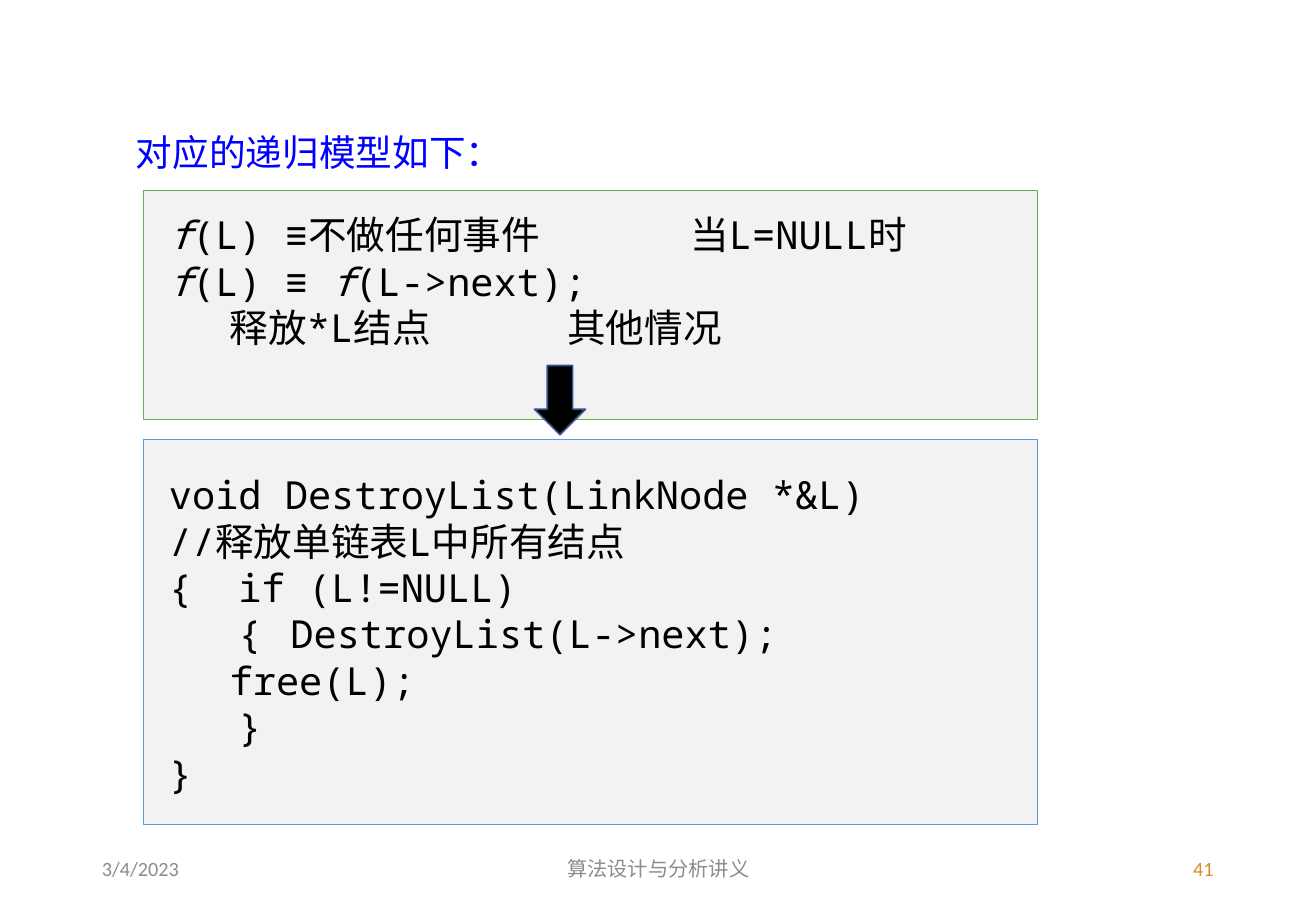
"""Build the slide that turns a recursive model into list-destroying code."""
import pptx
import pptx.util
import pptx.dml.color
import pptx.enum.shapes
import pptx.enum.text
import pptx.oxml.ns
from lxml import etree

Pt = pptx.util.Pt
RGB = pptx.dml.color.RGBColor.from_string
SHAPE = pptx.enum.shapes.MSO_SHAPE
ANCHOR = pptx.enum.text.MSO_ANCHOR
ALIGN = pptx.enum.text.PP_ALIGN

THEME = {
    "code_font": "Noto Sans Mono", "text_font": "Calibri",
    "code_size": 22.9, "title_size": 21.7, "footer_size": 12,
    "ink": "000000", "title": "0000FF", "panel": "F2F2F2",
    "model_line": "70AD47", "code_line": "5B9BD5", "arrow_line": "325491",
    "footer": "8C8C8C", "number": "D48F29",
}


def style(p, font, size, color):
    p.font.name = THEME[font]
    p.font.size = Pt(THEME[size])
    p.font.color.rgb = RGB(THEME[color])


def add_filled(kind, box, fill, line, width):
    sp = slide.shapes.add_shape(kind, *map(Pt, box))
    sp.shadow.inherit = False
    sp.fill.solid()
    sp.fill.fore_color.rgb = RGB(THEME[fill])
    sp.line.color.rgb = RGB(THEME[line])
    sp.line.width = Pt(width)
    return sp


prs = pptx.Presentation()
prs.slide_width, prs.slide_height = Pt(780), Pt(540)
slide = prs.slides.add_slide(prs.slide_layouts[5])

title = slide.shapes.title
title.left, title.top, title.width, title.height = map(Pt, (73.4, 73.4, 299, 34))
tf = title.text_frame
tf.text = "对应的递归模型如下："
tf.auto_size = pptx.enum.text.MSO_AUTO_SIZE.NONE
tf.vertical_anchor = ANCHOR.TOP
tf.paragraphs[0].alignment = ALIGN.LEFT
style(tf.paragraphs[0], "text_font", "title_size", "title")

model = [
    ([("f", True), ("(L) ≡不做任何事件\t当L=NULL时", False)], [309]),
    ([("f", True), ("(L) ≡ ", False), ("f", True), ("(L->next);", False)], []),
    ([("\t释放*L结点\t其他情况", False)], [36, 236]),
]
code = [([(line, False)], [36, 72]) for line in (
    "void DestroyList(LinkNode *&L)",
    "//释放单链表L中所有结点",
    "{  if (L!=NULL)",
    "   {\tDestroyList(L->next);",
    "\tfree(L);",
    "   }",
    "}",
)]
panels = [
    (113, 135.4, "model_line", 12.2, model),
    (260.6, 228.2, "code_line", 18.7, code),
]
for top, height, line, inset, rows in panels:
    sp = add_filled(SHAPE.RECTANGLE, (85, top, 530, height), "panel", line, 0.5)
    tf = sp.text_frame
    tf.word_wrap = True
    tf.vertical_anchor = ANCHOR.TOP
    tf.margin_left, tf.margin_top = Pt(15.1), Pt(inset)
    for i, (runs, stops) in enumerate(rows):
        p = tf.add_paragraph() if i else tf.paragraphs[0]
        p.alignment = ALIGN.LEFT
        if stops:
            tabs = etree.SubElement(p._p.get_or_add_pPr(), pptx.oxml.ns.qn("a:tabLst"))
            for stop in stops:
                etree.SubElement(tabs, pptx.oxml.ns.qn("a:tab"), pos=str(Pt(stop)), algn="l")
        style(p, "code_font", "code_size", "ink")
        for text, italic in runs:
            r = p.add_run()
            r.text = text
            if italic:
                r.font.italic = True

add_filled(SHAPE.DOWN_ARROW, (316.8, 216.7, 30.2, 41), "ink", "arrow_line", 1)

footers = [
    (53.3, 175.7, "3/4/2023", ALIGN.LEFT, "footer"),
    (258.5, 263.5, "算法设计与分析讲义", ALIGN.CENTER, "footer"),
    (550.8, 175.7, "41", ALIGN.RIGHT, "number"),
]
for left, width, text, align, color in footers:
    tf = slide.shapes.add_textbox(Pt(left), Pt(500.4), Pt(width), Pt(28.8)).text_frame
    tf.word_wrap = True
    tf.vertical_anchor = ANCHOR.MIDDLE
    p = tf.paragraphs[0]
    p.text = text
    p.alignment = align
    style(p, "text_font", "footer_size", color)

prs.save("out.pptx")
